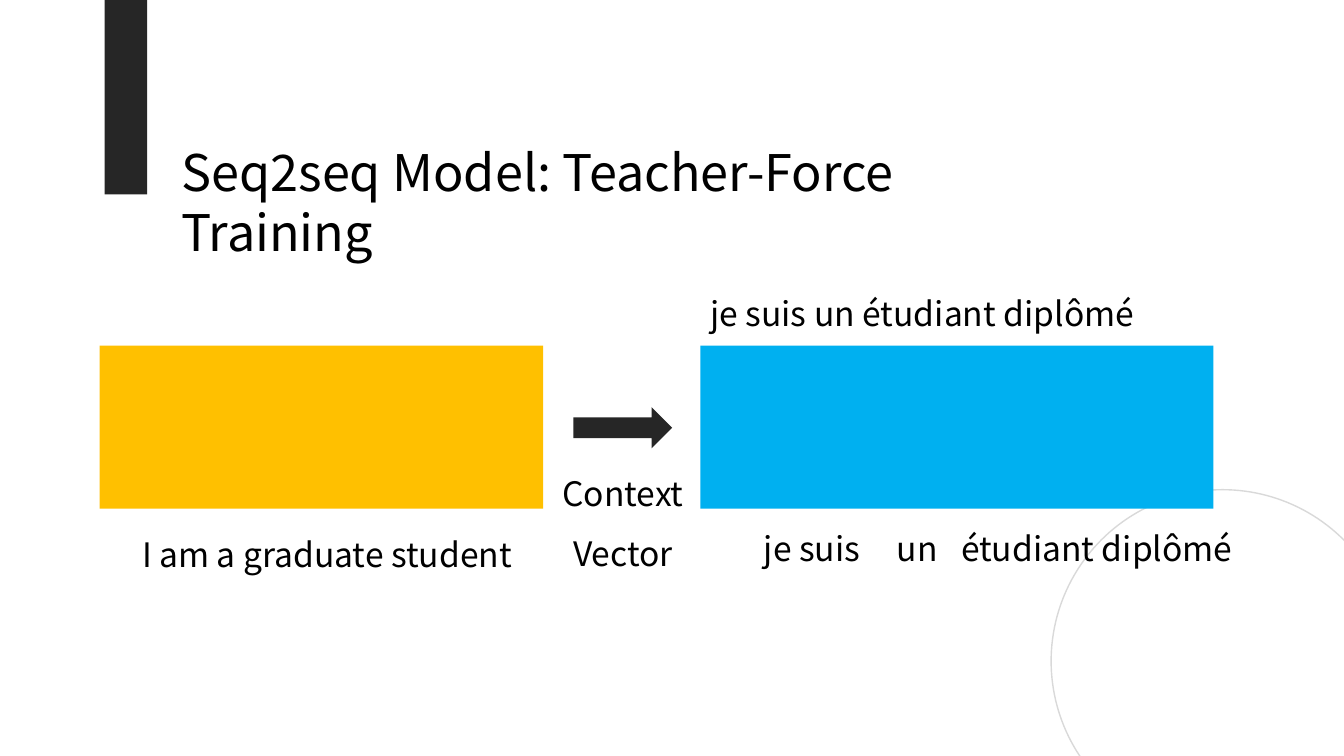
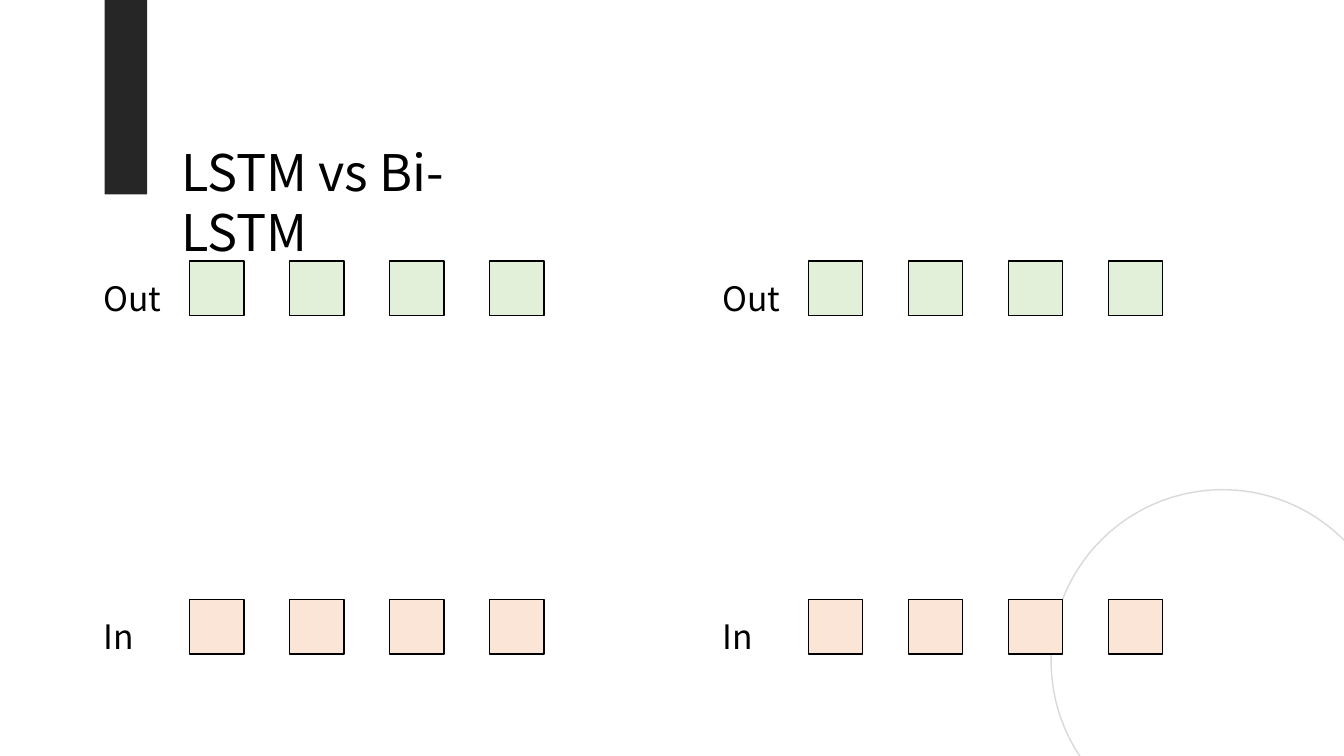
from lxml.etree import SubElement
from pptx import Presentation
from pptx.dml.color import RGBColor
from pptx.enum.shapes import MSO_SHAPE
from pptx.enum.text import MSO_ANCHOR, MSO_AUTO_SIZE, PP_ALIGN
from pptx.oxml.ns import qn
from pptx.util import Cm, Pt

COLORS = {
    "text": "000000", "dark": "262626", "ring": "D9D9D9",
    "encoder": "FFC000", "decoder": "00B0F0",
    "input": "FBE5D6", "output": "E2F0D9",
}
TITLE_FONT = {"name": "Noto Sans CJK JP", "size": Pt(36)}
BODY_FONT = {"name": "Noto Sans CJK KR", "size": Pt(24)}
FRAME = {
    "word_wrap": True,
    "auto_size": MSO_AUTO_SIZE.SHAPE_TO_FIT_TEXT,
    "vertical_anchor": MSO_ANCHOR.TOP,
}
LINE_HEIGHT = 1.8


def apply(target, values):
    for key, value in values.items():
        setattr(target, key, value)


def color(name):
    return RGBColor.from_string(COLORS[name])


def add_block(slide, kind, box, fill=None, line=None):
    """Preset shape; box is left, top, width, height in cm."""
    block = slide.shapes.add_shape(kind, *map(Cm, box))
    block.shadow.inherit = False
    if fill:
        block.fill.solid()
        block.fill.fore_color.rgb = color(fill)
    else:
        block.fill.background()
    if line:
        block.line.color.rgb = color(line)
        block.line.width = Pt(1)
    else:
        block.line.fill.background()


def add_text(slide, lines, box, font=BODY_FONT, spacing=1.5,
             align=PP_ALIGN.LEFT, tabs=()):
    frame = slide.shapes.add_textbox(*map(Cm, box)).text_frame
    apply(frame, FRAME)
    for index, line in enumerate(lines):
        paragraph = frame.add_paragraph() if index else frame.paragraphs[0]
        apply(paragraph, {"alignment": align, "line_spacing": spacing})
        run = paragraph.add_run()
        run.text = line
        apply(run.font, font)
        run.font.color.rgb = color("text")
        if tabs:
            stops = SubElement(paragraph._p.get_or_add_pPr(), qn("a:tabLst"))
            for stop in tabs:
                SubElement(stops, qn("a:tab"), pos=str(Cm(stop)), algn="l")


def add_base(deck, title, title_width):
    """Slide with the shared ring, bar and title."""
    slide = deck.slides.add_slide(deck.slide_layouts[6])
    add_block(slide, MSO_SHAPE.OVAL, (26.49, 12.34, 8.64, 8.64), line="ring")
    add_block(slide, MSO_SHAPE.RECTANGLE, (2.64, 0, 1.07, 4.9), "dark")
    add_text(slide, [title], (4.32, 3.43, title_width, LINE_HEIGHT),
             TITLE_FONT, spacing=1.0)
    return slide


def add_encoder(slide, left, top, width, height):
    add_block(slide, MSO_SHAPE.RECTANGLE, (left, top, width, height), "encoder")
    add_text(slide, ["I am a graduate student"],
             (left + 0.82, top + height, 13.54, LINE_HEIGHT))


def add_context(slide, left, top, width):
    add_block(slide, MSO_SHAPE.RIGHT_ARROW, (left + 0.68, top, 2.49, 1.04), "dark")
    add_text(slide, ["Context", "Vector"], (left, top + 1.02, width, 3.18),
             align=PP_ALIGN.CENTER)


def add_decoder(slide, left, top, width, height):
    # Fed words below, predicted words above
    add_text(slide, ["je suis\tun\tétudiant diplômé"],
             (left + 1.35, top + height - 0.15, 13.72, LINE_HEIGHT),
             tabs=(3.35, 4.97))
    add_block(slide, MSO_SHAPE.RECTANGLE, (left, top, width, height), "decoder")
    add_text(slide, ["je suis un étudiant diplômé"],
             (left, top - 1.95, 11.76, LINE_HEIGHT))


def add_cell_row(slide, label, fill, left, top):
    size, pitch, first = 1.37, 2.52, 2.42
    for step in range(4):
        add_block(slide, MSO_SHAPE.RECTANGLE,
                  (left + first + step * pitch, top, size, size), fill, "text")
    add_text(slide, [label], (left, top - 0.22, 2.54, LINE_HEIGHT))


def add_network(slide, left, top):
    add_cell_row(slide, "In", "input", left, top + 8.53)
    add_cell_row(slide, "Out", "output", left, top)


def build_teacher_forcing(deck):
    slide = add_base(deck, "Seq2seq Model: Teacher-Force Training", 19.35)
    top, height = 8.71, 4.11
    add_encoder(slide, 2.51, top, 11.18, height)
    add_context(slide, 13.77, top + 1.55, 3.86)
    add_decoder(slide, 17.65, top, 12.93, height)


def build_lstm_comparison(deck):
    slide = add_base(deck, "LSTM vs Bi-LSTM", 8.53)
    for left in (2.36, 17.95):
        add_network(slide, left, 6.58)


def main():
    deck = Presentation()
    apply(deck, {"slide_width": Cm(33.87), "slide_height": Cm(19.05)})
    build_teacher_forcing(deck)
    build_lstm_comparison(deck)
    deck.save("out.pptx")


if __name__ == "__main__":
    main()
